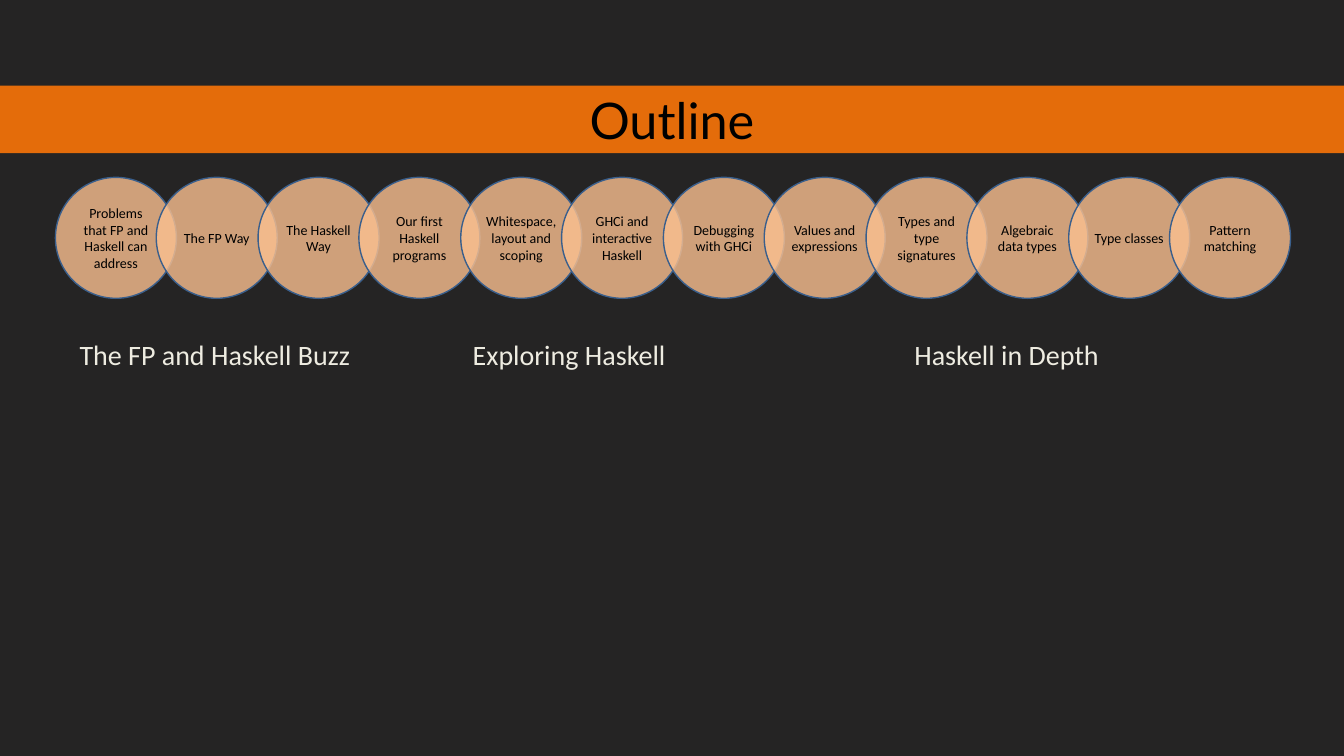
"""Build the Outline slide: a title band, a chain of topics and three part names."""
from lxml.etree import SubElement
from pptx import Presentation
from pptx.dml.color import RGBColor as RGB
from pptx.enum.shapes import MSO_SHAPE as Kind
from pptx.enum.text import MSO_ANCHOR as Anchor, MSO_AUTO_SIZE as Fit, PP_ALIGN as Align
from pptx.oxml.ns import qn
from pptx.util import Pt

PX = 9144
HUES = {"back": "252424", "band": "E46C0A", "disc": "FAC090",
        "edge": "3A5F8C", "dark": "000000", "pale": "EEECE1"}


def hue(name):
    return RGB.from_string(HUES[name])


def write(shape, text, size, color="dark", font="Calibri", align=Align.CENTER,
          anchor=Anchor.TOP, pad=(10, 5), wrap=True, fit=Fit.NONE):
    frame = shape.text_frame
    frame.word_wrap = wrap
    frame.auto_size = fit
    frame.vertical_anchor = anchor
    frame.margin_left = frame.margin_right = pad[0] * PX
    frame.margin_top = frame.margin_bottom = pad[1] * PX
    para = frame.paragraphs[0]
    para.alignment = align
    run = para.add_run()
    run.text = text
    run.font.size = Pt(size)
    run.font.name = font
    run.font.color.rgb = hue(color)


deck = Presentation()
deck.slide_width, deck.slide_height = 1333 * PX, 750 * PX
slide = deck.slides.add_slide(deck.slide_layouts[6])
slide.background.fill.solid()
slide.background.fill.fore_color.rgb = hue("back")
shapes = slide.shapes

band = shapes.add_shape(Kind.RECTANGLE, 0, 85 * PX, 1333 * PX, 67 * PX)
band.shadow.inherit = False
band.fill.solid()
band.fill.fore_color.rgb = hue("band")
band.line.fill.background()
write(band, "Outline", 36, font="Lato", pad=(7, 3), fit=Fit.SHAPE_TO_FIT_TEXT)

topics = ["Problems that FP and Haskell can address", "The FP Way",
          "The Haskell Way", "Our first Haskell programs",
          "Whitespace, layout and scoping", "GHCi and interactive Haskell",
          "Debugging with GHCi", "Values and expressions",
          "Types and type signatures", "Algebraic data types",
          "Type classes", "Pattern matching"]
first, last, size = 55, 1160, 120
step = (last - first) / (len(topics) - 1)
for i, topic in enumerate(topics):
    left = round(first + i * step)
    disc = shapes.add_shape(Kind.OVAL, left * PX, 176 * PX, size * PX, size * PX)
    disc.shadow.inherit = False
    disc.fill.solid()
    disc.fill.fore_color.rgb = hue("disc")
    tint = disc.fill._xPr.find(qn("a:solidFill"))[0]
    SubElement(tint, qn("a:alpha"), val="80000")
    disc.line.color.rgb = hue("edge")
    disc.line.width = Pt(1)
    write(disc, topic, 10, anchor=Anchor.MIDDLE, pad=(5, 5))

parts = [("The FP and Haskell Buzz", 69, 291),
         ("Exploring Haskell", 459, 213),
         ("Haskell in Depth", 897, 205)]
for name, left, width in parts:
    box = shapes.add_textbox(left * PX, 330 * PX, width * PX, 44 * PX)
    write(box, name, 20, color="pale", align=Align.LEFT, wrap=False,
          fit=Fit.SHAPE_TO_FIT_TEXT)

deck.save("out.pptx")
